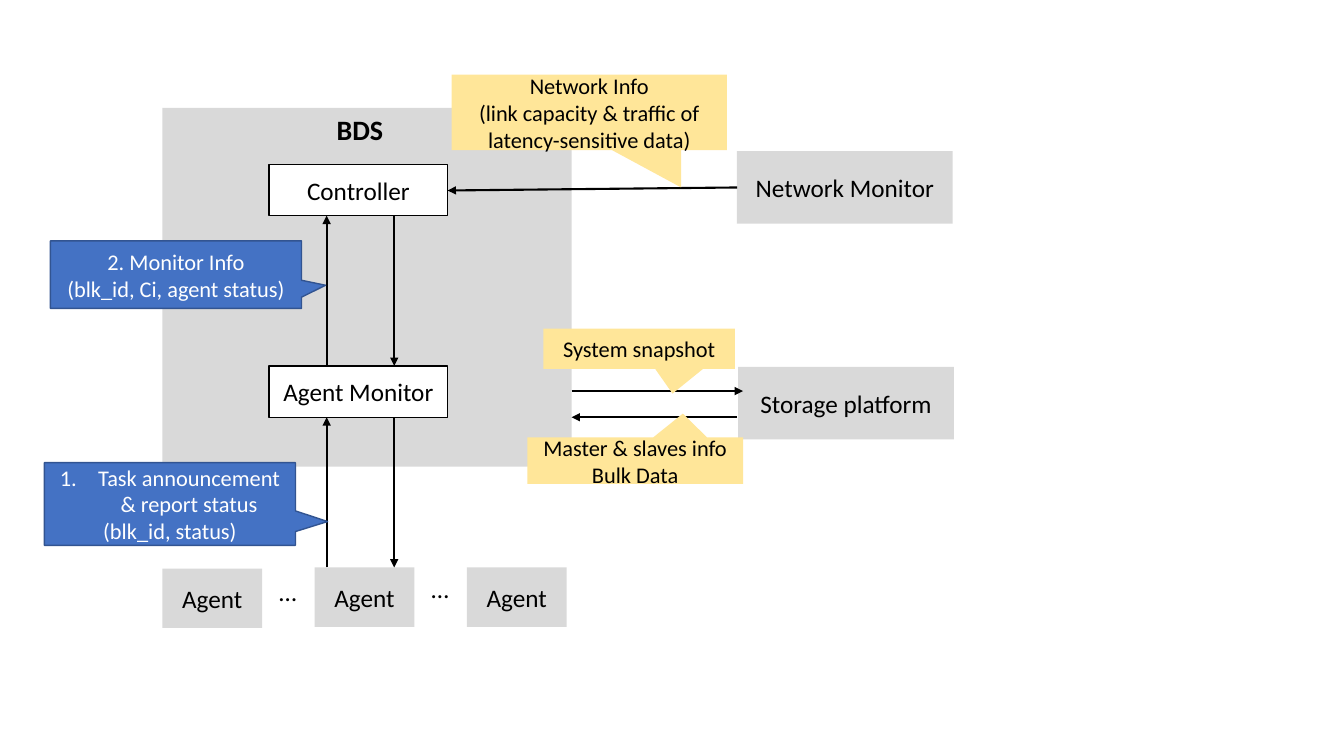
import pptx
import pptx.dml.color
import pptx.enum.shapes
import pptx.enum.text
import pptx.oxml.ns
import pptx.util
from lxml import etree

Inches = pptx.util.Inches
Pt = pptx.util.Pt
SHAPES = pptx.enum.shapes.MSO_SHAPE
GRAY, BLACK, WHITE = "D9D9D9", "000000", "FFFFFF"
BLUE, NAVY, YELLOW = "4472C4", "325491", "FFE699"


def color(value):
    """Turn a hex string into a colour."""
    return pptx.dml.color.RGBColor.from_string(value)


def add_child(parent, tag, **attributes):
    """Append a DrawingML element to a parent element."""
    return etree.SubElement(parent, pptx.oxml.ns.qn(tag), attributes)


def write(frame, lines, size, ink=BLACK, bold=None, align=None):
    """Write lines as paragraphs sharing one style."""
    for index, line in enumerate(lines):
        paragraph = frame.paragraphs[0] if index == 0 else frame.add_paragraph()
        paragraph.text = line
        paragraph.alignment = align
        paragraph.font.name = "Calibri"
        paragraph.font.size = Pt(size)
        paragraph.font.bold = bold
        paragraph.font.color.rgb = color(ink)


def block(slide, box, lines=(), fill=GRAY, line=None, size=18, ink=BLACK, kind=SHAPES.RECTANGLE):
    """Draw a filled shape with centred text."""
    shape = slide.shapes.add_shape(kind, *map(Inches, box))
    shape.shadow.inherit = False
    shape.fill.solid()
    shape.fill.fore_color.rgb = color(fill)
    if line:
        shape.line.color.rgb = color(line)
        shape.line.width = Pt(1)
    else:
        shape.line.fill.background()
    shape.text_frame.word_wrap = True
    shape.text_frame.vertical_anchor = pptx.enum.text.MSO_ANCHOR.MIDDLE
    write(shape.text_frame, lines, size, ink, align=pptx.enum.text.PP_ALIGN.CENTER)
    return shape


def callout(slide, box, tip, lines, fill=YELLOW, line=None, ink=BLACK):
    """Draw a callout whose tip is an offset from its centre in box fractions."""
    shape = block(slide, box, lines, fill, line, 16, ink, SHAPES.RECTANGULAR_CALLOUT)
    for index, offset in enumerate(tip):
        shape.adjustments[index] = offset
    return shape


def label(slide, box, text, size, bold=None):
    """Place an unwrapped text label."""
    frame = slide.shapes.add_textbox(*map(Inches, box)).text_frame
    frame.word_wrap = False
    frame.auto_size = pptx.enum.text.MSO_AUTO_SIZE.SHAPE_TO_FIT_TEXT
    write(frame, [text], size, bold=bold)


def arrow(slide, start, end):
    """Draw a black arrow from start to end."""
    connector = slide.shapes.add_connector(
        pptx.enum.shapes.MSO_CONNECTOR.STRAIGHT, *map(Inches, start + end))
    connector.line.color.rgb = color(BLACK)
    connector.line.width = Pt(1.5)
    add_child(connector.line._get_or_add_ln(), "a:tailEnd", type="triangle")
    add_child(connector._element.spPr, "a:effectLst")


def exchange(slide, left, top, bottom):
    """Draw the upward and downward arrows between two layers."""
    right = left + 0.67
    arrow(slide, (left, bottom), (left, top))
    arrow(slide, (right, top), (right, bottom))


def bds_panel(slide, left, top, width, height):
    """Draw the BDS system with its controller and agent monitor."""
    block(slide, (left, top, width, height))
    for name, offset in (("Controller", 0.56), ("Agent Monitor", 2.56)):
        block(slide, (left + 1.06, top + offset, 1.77, 0.51), [name], WHITE, BLACK)
    label(slide, (left + 1.63, top, 0.67, 0.44), "BDS", 20, True)
    exchange(slide, left + 1.63, top + 1.07, top + 2.56)
    callout(slide, (left - 1.11, top + 1.32, 2.49, 0.67), (0.596, 0.157),
            ["2. Monitor Info", "(blk_id, Ci, agent status)"], BLUE, NAVY, WHITE)


def agent_row(slide, left, top):
    """Draw the agents and their exchange with the agent monitor."""
    pitch = 1.51
    for index, drop in enumerate((0.01, 0, 0)):
        block(slide, (left + index * pitch, top + drop, 0.99, 0.59), ["Agent"])
    for index, drop in enumerate((0.04, 0.01)):
        label(slide, (left + 1.06 + index * pitch, top + drop, 0.38, 0.4), "…", 18)
    exchange(slide, left + 1.63, top - 1.49, top)
    task = callout(slide, (left - 1.17, top - 1.04, 2.49, 0.82), (0.628, 0.212),
                   ["Task announcement & report status", "(blk_id, status)"],
                   BLUE, NAVY, WHITE)
    numbering = task.text_frame.paragraphs[0]._p.get_or_add_pPr()
    numbering.set("marL", str(Inches(0.38)))
    numbering.set("indent", str(Inches(-0.38)))
    bullet = add_child(numbering, "a:buAutoNum", type="arabicPeriod")
    numbering.insert(0, bullet)


def network_monitor(slide, left, top):
    """Draw the network monitor reporting to the controller."""
    block(slide, (left, top, 2.14, 0.72), ["Network Monitor"])
    arrow(slide, (left, top + 0.36), (left - 2.87, top + 0.39))
    callout(slide, (left - 2.83, top - 0.76, 2.73, 0.75), (0.334, 0.993),
            ["Network Info", "(link capacity & traffic of latency-sensitive data)"])


def storage_platform(slide, left, top):
    """Draw the storage platform and its two-way link with BDS."""
    block(slide, (left, top, 2.14, 0.72), ["Storage platform"])
    arrow(slide, (left - 1.65, top + 0.24), (left + 0.05, top + 0.24))
    arrow(slide, (left - 0.01, top + 0.5), (left - 1.65, top + 0.5))
    callout(slide, (left - 1.93, top - 0.38, 1.9, 0.4), (0.174, 1.114), ["System snapshot"])
    callout(slide, (left - 2.09, top + 0.7, 2.14, 0.46), (0.221, -1.015),
            ["Master & slaves info", "Bulk Data"])


def main():
    """Build the architecture slide."""
    deck = pptx.Presentation()
    deck.slide_width, deck.slide_height = Inches(13.33), Inches(7.5)
    slide = deck.slides.add_slide(deck.slide_layouts[6])
    bds_panel(slide, 1.61, 1.07, 4.06, 3.56)
    agent_row(slide, 1.61, 5.63)
    network_monitor(slide, 7.31, 1.5)
    storage_platform(slide, 7.32, 3.64)
    deck.save("out.pptx")


if __name__ == "__main__":
    main()
